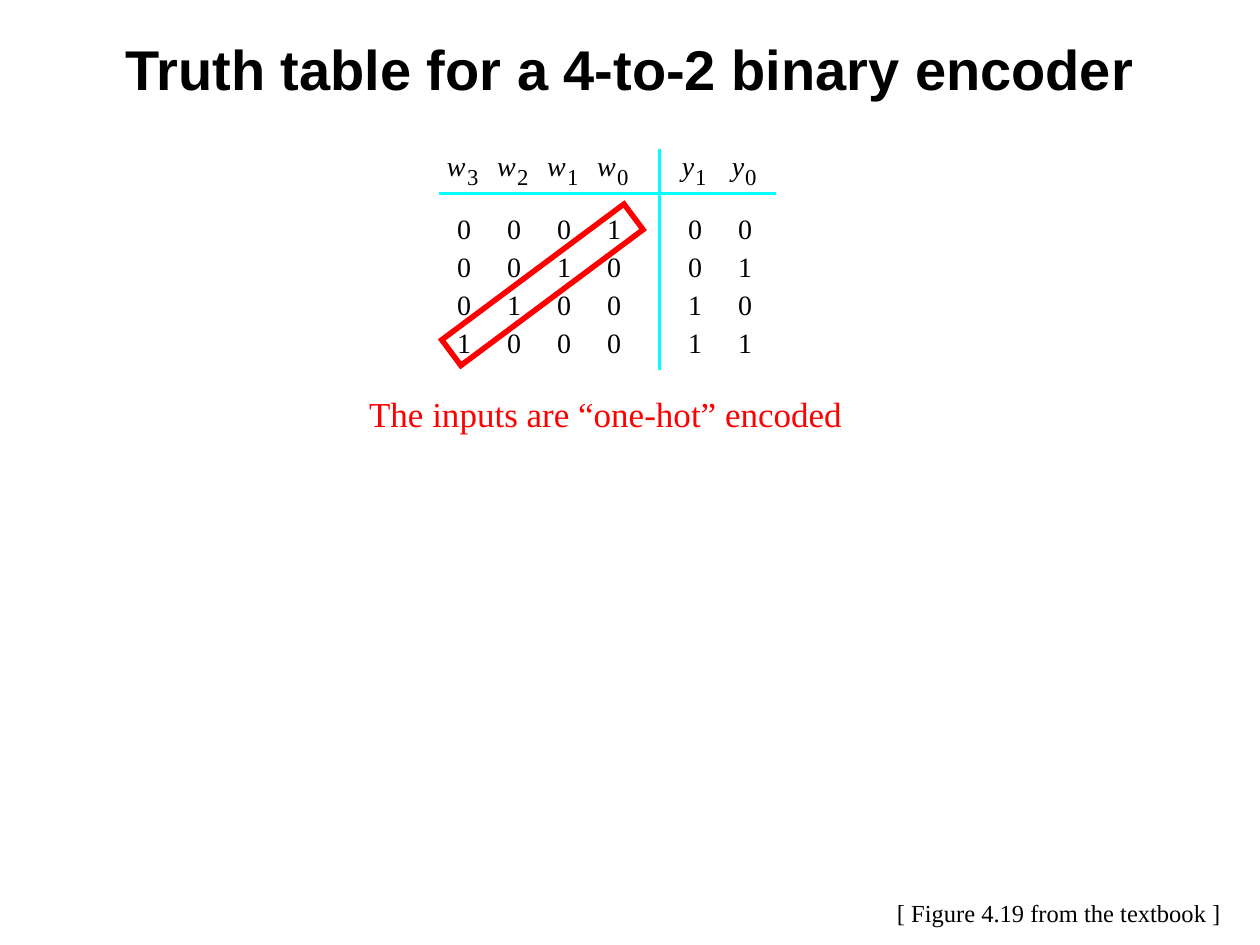
import pptx
import pptx.dml.color
import pptx.enum.shapes
import pptx.enum.text
import pptx.oxml.ns
import pptx.util
from lxml import etree

Pt = pptx.util.Pt
BLACK = pptx.dml.color.RGBColor(0x00, 0x00, 0x00)
RED = pptx.dml.color.RGBColor(0xFF, 0x00, 0x00)
CYAN = pptx.dml.color.RGBColor(0x00, 0xFF, 0xFF)
ANCHOR = pptx.enum.text.MSO_ANCHOR
ALIGN = pptx.enum.text.PP_ALIGN
AUTO_SIZE = pptx.enum.text.MSO_AUTO_SIZE


def write(tf, text, size=16, font="Times New Roman", color=BLACK,
          bold=False, italic=False, align=ALIGN.LEFT):
    p = tf.paragraphs[0]
    p.alignment = align
    r = p.add_run()
    r.text = text
    r.font.size = Pt(size)
    r.font.name = font
    r.font.color.rgb = color
    r.font.bold = bold
    r.font.italic = italic


class Deck:
    """Holds the presentation, its current slide and the drawing style."""

    def __init__(self, width, height):
        self.prs = pptx.Presentation()
        self.prs.slide_width = Pt(width)
        self.prs.slide_height = Pt(height)
        self.s = self.prs.slides.add_slide(self.prs.slide_layouts[6])

    def text(self, x, y, w, h, text, inset=True, wrap=False, anchor=ANCHOR.TOP, **fmt):
        sp = self.s.shapes.add_textbox(Pt(x), Pt(y), Pt(w), Pt(h))
        tf = sp.text_frame
        tf.word_wrap = wrap
        tf.auto_size = AUTO_SIZE.NONE if wrap else AUTO_SIZE.SHAPE_TO_FIT_TEXT
        tf.vertical_anchor = anchor
        if not inset:
            tf.margin_left = tf.margin_right = tf.margin_top = tf.margin_bottom = 0
        write(tf, text, **fmt)

    def line(self, x1, y1, x2, y2):
        c = self.s.shapes.add_connector(
            pptx.enum.shapes.MSO_CONNECTOR.STRAIGHT, Pt(x1), Pt(y1), Pt(x2), Pt(y2))
        c.line.color.rgb = CYAN
        c.line.width = Pt(1.75)
        etree.SubElement(c._element.spPr, pptx.oxml.ns.qn("a:effectLst"))

    def frame(self, x, y, w, h, rotation):
        sp = self.s.shapes.add_shape(
            pptx.enum.shapes.MSO_SHAPE.FRAME, Pt(x), Pt(y), Pt(w), Pt(h))
        sp.shadow.inherit = False
        sp.rotation = rotation
        sp.fill.solid()
        sp.fill.fore_color.rgb = RED
        sp.line.color.rgb = RED
        sp.line.width = Pt(0.5)

    def column(self, x, letter, index, digits, letter_x, sub_x):
        self.text(x + letter_x, 85, 22.3, 22.3, letter, inset=False, italic=True)
        self.text(x + sub_x, 92.9, 15, 18, index, inset=False, size=13)
        for row, digit in enumerate(digits):
            self.text(x, 121 + 21.6 * row, 19.4, 23, digit, inset=False)


def main():
    deck = Deck(720, 540)
    deck.text(0, 12.2, 720, 54, "Truth table for a 4-to-2 binary encoder", wrap=True,
              anchor=ANCHOR.MIDDLE, size=32, font="Arial", bold=True, align=ALIGN.CENTER)

    deck.line(250.6, 110.5, 443.5, 110.5)
    deck.line(376.8, 211.7, 376.8, 85)
    step = 28.6
    inputs = [("3", "0001"), ("2", "0010"), ("1", "0100"), ("0", "1000")]
    outputs = [("1", "0011"), ("0", "0101")]
    for i, (index, digits) in enumerate(inputs):
        deck.column(261.2 + step * i, "w", index, digits, -5.8, 5.7)
    for i, (index, digits) in enumerate(outputs):
        deck.column(393.2 + step * i, "y", index, digits, -3.6, 4)

    deck.text(505.4, 509.8, 200.9, 24.5, "[ Figure 4.19 from the textbook ]", size=14)
    deck.text(203.8, 221, 286.6, 31.7, "The inputs are “one-hot” encoded",
              size=20, color=RED)
    deck.frame(299.5, 96.5, 20.9, 132.5, 53.3)
    deck.prs.save("out.pptx")


if __name__ == "__main__":
    main()
